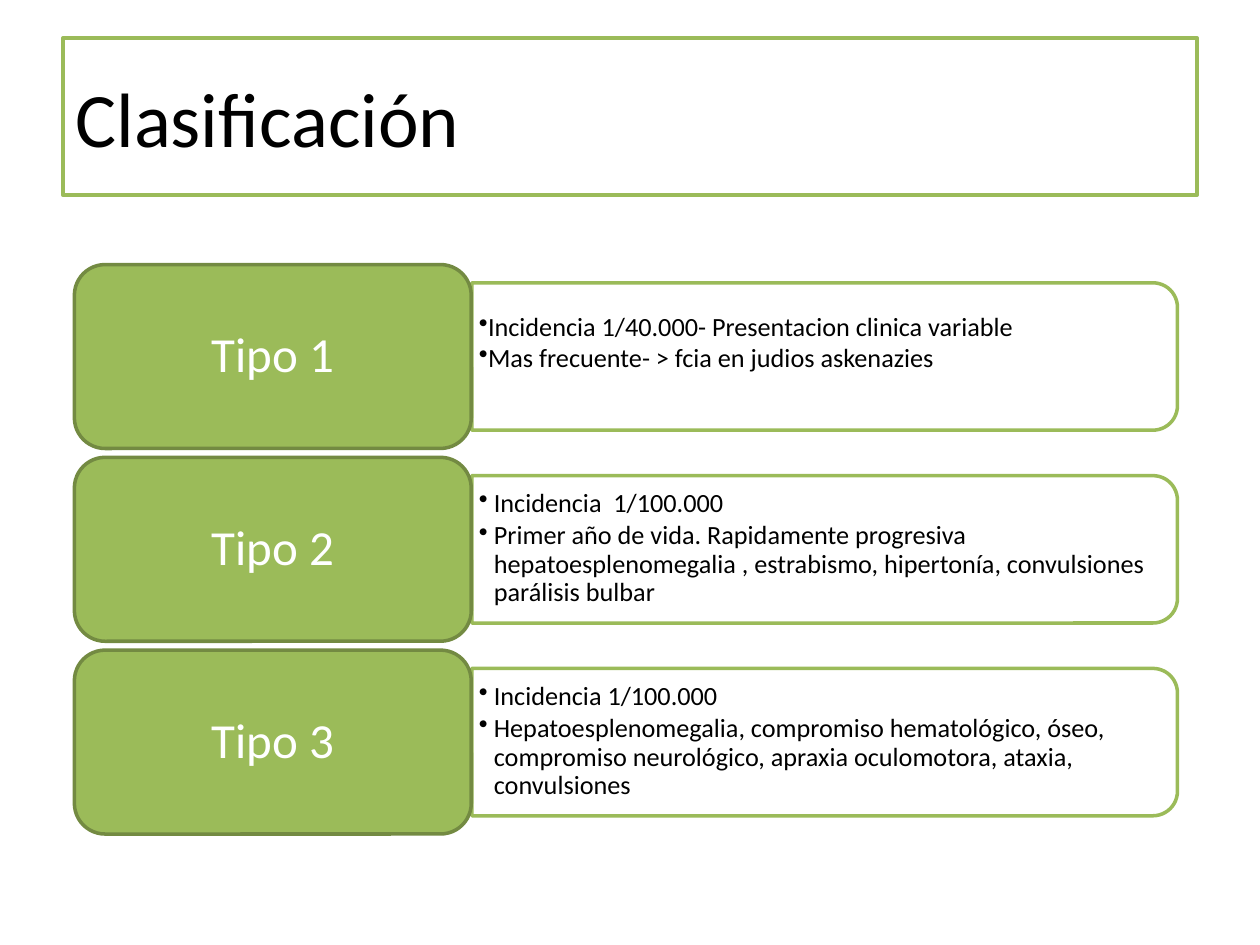
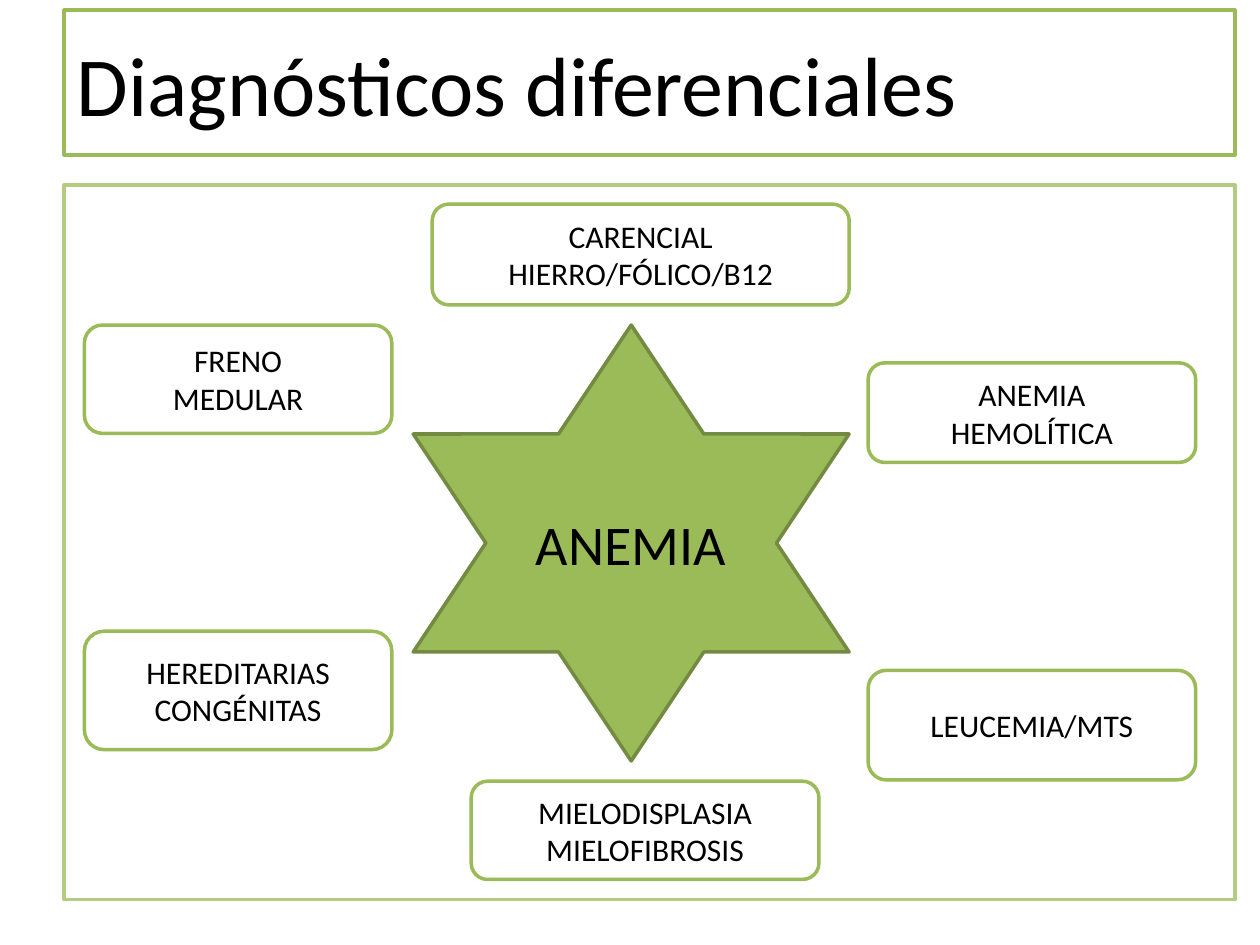
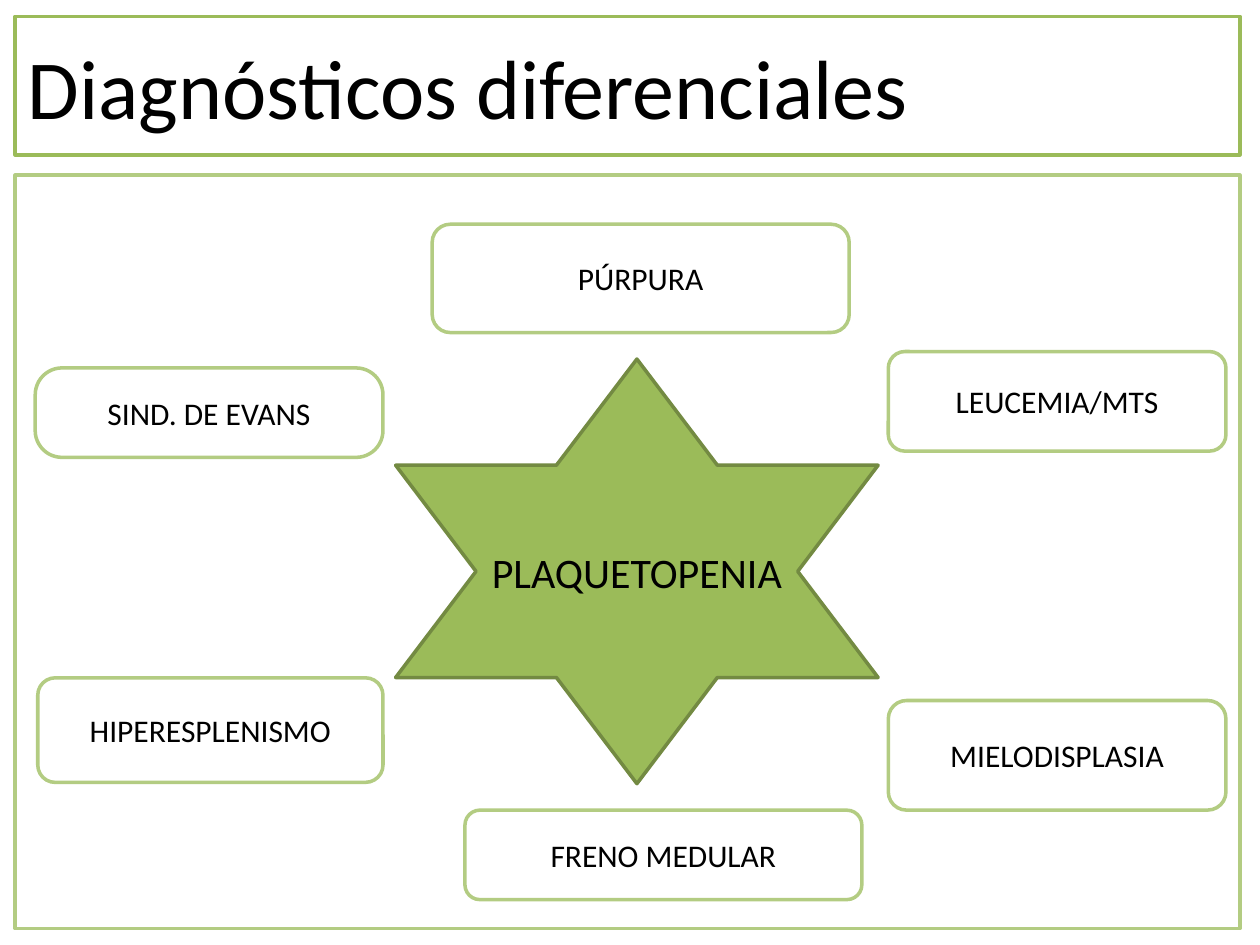
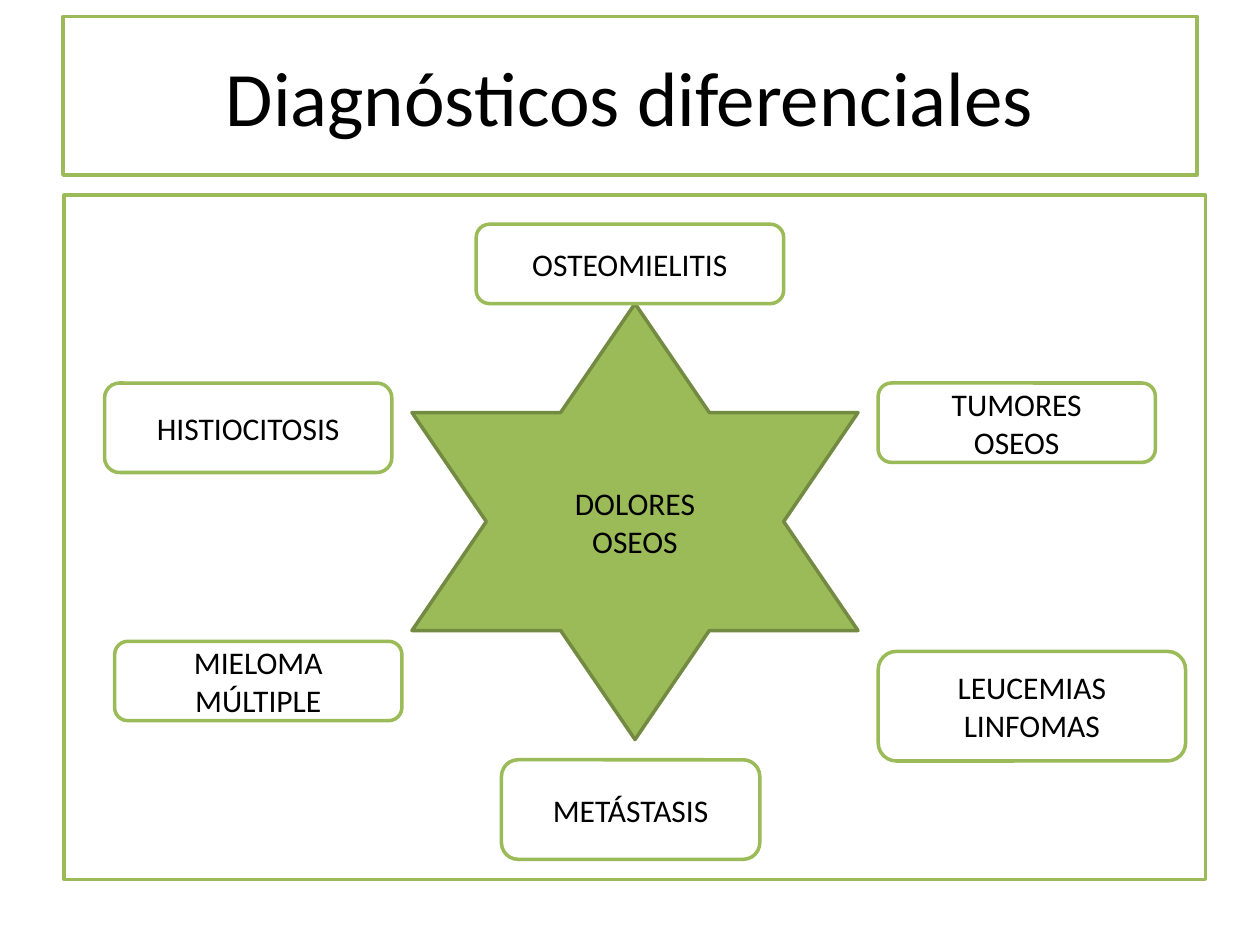
import dataclasses
import typing

import pptx
import pptx.dml.color
import pptx.enum.shapes
import pptx.enum.text
import pptx.oxml
import pptx.oxml.ns
import pptx.util

RGBColor = pptx.dml.color.RGBColor
SHAPE = pptx.enum.shapes.MSO_SHAPE
ALIGN = pptx.enum.text.PP_ALIGN

PX = 9144  # EMU, 100 px to the inch
FONT = "Calibri"
BLACK = RGBColor(0x00, 0x00, 0x00)
WHITE = RGBColor(0xFF, 0xFF, 0xFF)
GREEN = RGBColor(0x9B, 0xBB, 0x59)
DARK_GREEN = RGBColor(0x73, 0x8A, 0x42)
LIGHT_GREEN = RGBColor(0xB3, 0xCC, 0x82)


class Box(typing.NamedTuple):
    left: int
    top: int
    width: int
    height: int


class Insets(typing.NamedTuple):
    left: int = 10
    top: int = 5
    right: int = 10
    bottom: int = 5


@dataclasses.dataclass(frozen=True)
class Label:
    text: str
    box: Box
    size: int = 18
    rounding: float | None = None


@dataclasses.dataclass(frozen=True)
class Differential:
    """A star with the finding, ringed by its possible causes."""
    title: Label
    star: Label
    causes: tuple[Label, ...]
    frame: Box
    title_align: ALIGN = ALIGN.LEFT
    cause_line: RGBColor = GREEN
    frame_line: RGBColor = LIGHT_GREEN


@dataclasses.dataclass(frozen=True)
class DiseaseType:
    name: str
    facts: str
    hanging: int = 12
    line_spacing: float = 0.9
    space_after: float = 2.25
    bottom_inset: int = 3


TYPES = (
    DiseaseType("Tipo 1", "Incidencia 1/40.000- Presentacion clinica variable\n"
                "Mas frecuente- > fcia en judios askenazies",
                hanging=0, line_spacing=1.0, space_after=0, bottom_inset=26),
    DiseaseType("Tipo 2", "Incidencia  1/100.000\n"
                "Primer año de vida. Rapidamente progresiva hepatoesplenomegalia , "
                "estrabismo, hipertonía, convulsiones parálisis bulbar"),
    DiseaseType("Tipo 3", "Incidencia 1/100.000\n"
                "Hepatoesplenomegalia, compromiso hematológico, óseo, compromiso "
                "neurológico, apraxia oculomotora, ataxia, convulsiones"),
)
ROW_TOP, ROW_PITCH = 210, 153

DIFFERENTIALS = (
    Differential(
        title=Label("Diagnósticos diferenciales", Box(51, 8, 929, 115), 48),
        star=Label("ANEMIA", Box(328, 258, 346, 346), 32),
        causes=(
            Label("CARENCIAL\nHIERRO/FÓLICO/B12", Box(343, 162, 331, 80)),
            Label("ANEMIA\nHEMOLÍTICA", Box(689, 288, 260, 79)),
            Label("LEUCEMIA/MTS", Box(689, 532, 260, 87)),
            Label("MIELODISPLASIA\nMIELOFIBROSIS", Box(374, 620, 276, 78)),
            Label("HEREDITARIAS\nCONGÉNITAS", Box(67, 501, 244, 94)),
            Label("FRENO\nMEDULAR", Box(67, 258, 244, 86)),
        ),
        frame=Box(51, 147, 929, 567),
    ),
    Differential(
        title=Label("Diagnósticos diferenciales", Box(12, 13, 972, 110), 48),
        star=Label("PLAQUETOPENIA", Box(314, 285, 383, 337), 24),
        causes=(
            Label("PÚRPURA", Box(343, 178, 331, 86)),
            Label("LEUCEMIA/MTS", Box(705, 279, 268, 79)),
            Label("MIELODISPLASIA", Box(705, 556, 268, 87)),
            Label("FRENO MEDULAR", Box(369, 643, 315, 71)),
            Label("HIPERESPLENISMO", Box(30, 538, 274, 83)),
            Label("SIND. DE EVANS", Box(28, 292, 276, 71), rounding=0.3),
        ),
        frame=Box(12, 139, 972, 598),
        cause_line=LIGHT_GREEN,
    ),
    Differential(
        title=Label("Diagnósticos diferenciales", Box(50, 13, 900, 126), 44),
        star=Label("DOLORES\nOSEOS", Box(327, 241, 354, 346)),
        causes=(
            Label("OSTEOMIELITIS", Box(378, 178, 244, 63)),
            Label("HISTIOCITOSIS", Box(83, 304, 228, 71)),
            Label("MIELOMA\nMÚLTIPLE", Box(91, 509, 228, 63)),
            Label("METÁSTASIS", Box(398, 603, 205, 79)),
            Label("TUMORES\nOSEOS", Box(697, 304, 220, 63)),
            Label("LEUCEMIAS\nLINFOMAS", Box(697, 517, 244, 87)),
        ),
        frame=Box(51, 155, 906, 543),
        title_align=ALIGN.CENTER,
        frame_line=GREEN,
    ),
)


def emu(box: Box) -> list[int]:
    return [length * PX for length in box]


def add_bullet(p, hanging: int) -> None:
    pPr = p._p.get_or_add_pPr()
    pPr.set("marL", str(hanging * PX))
    pPr.set("indent", str(-hanging * PX))
    pPr.append(pptx.oxml.parse_xml(
        f'<a:buChar {pptx.oxml.ns.nsdecls("a")} char="•"/>'))


def write(shape, text: str, *, size: int, color: RGBColor = BLACK,
          align: ALIGN = ALIGN.CENTER, insets: Insets = Insets(),
          hanging: int | None = None, line_spacing: float | None = None,
          space_after: float | None = None) -> None:
    """Fill a shape with one paragraph per line; a hanging indent adds bullets."""
    tf = shape.text_frame
    tf.word_wrap = True
    tf.vertical_anchor = pptx.enum.text.MSO_ANCHOR.MIDDLE
    tf.margin_left, tf.margin_top, tf.margin_right, tf.margin_bottom = (
        inset * PX for inset in insets)
    for i, line in enumerate(text.split("\n")):
        p = tf.add_paragraph() if i else tf.paragraphs[0]
        if hanging is not None:
            add_bullet(p, hanging)
        p.alignment = align
        if line_spacing is not None:
            p.line_spacing = line_spacing
        if space_after is not None:
            p.space_after = pptx.util.Pt(space_after)
        r = p.add_run()
        r.text = line
        r.font.name = FONT
        r.font.size = pptx.util.Pt(size)
        r.font.color.rgb = color


def add_outlined(s, kind: SHAPE, box: Box, line: RGBColor,
                 fill: RGBColor | None = WHITE):
    sp = s.shapes.add_shape(kind, *emu(box))
    sp.shadow.inherit = False
    if fill is None:
        sp.fill.background()
    else:
        sp.fill.solid()
        sp.fill.fore_color.rgb = fill
    sp.line.color.rgb = line
    sp.line.width = pptx.util.Pt(2)
    return sp


def add_title(s, title: Label, align: ALIGN = ALIGN.LEFT) -> None:
    sp = add_outlined(s, SHAPE.RECTANGLE, title.box, GREEN)
    write(sp, title.text, size=title.size, align=align)


def add_type_row(s, top: int, kind: DiseaseType) -> None:
    # The facts panel is upright, then turned so its round corners face right.
    panel = add_outlined(s, SHAPE.ROUND_2_SAME_RECTANGLE,
                         Box(596, top - 207, 117, 560), GREEN)
    panel.rotation = 90
    facts = s.shapes.add_textbox(*emu(Box(374, top + 20, 554, 105)))
    write(facts, kind.facts, size=15, align=ALIGN.LEFT,
          insets=Insets(6, 3, 6, kind.bottom_inset), hanging=kind.hanging,
          line_spacing=kind.line_spacing, space_after=kind.space_after)
    add_outlined(s, SHAPE.ROUNDED_RECTANGLE, Box(59, top, 315, 146),
                 DARK_GREEN, GREEN)
    name = s.shapes.add_textbox(*emu(Box(66, top + 7, 301, 132)))
    write(name, kind.name, size=28, color=WHITE,
          insets=Insets(12, 6, 12, 6), line_spacing=0.9)


def add_classification(s) -> None:
    add_title(s, Label("Clasificación", Box(50, 30, 900, 125), 44))
    for i, kind in enumerate(TYPES):
        add_type_row(s, ROW_TOP + i * ROW_PITCH, kind)


def add_differential(s, d: Differential) -> None:
    add_title(s, d.title, d.title_align)
    star = add_outlined(s, SHAPE.STAR_6_POINT, d.star.box, DARK_GREEN, GREEN)
    write(star, d.star.text, size=d.star.size)
    for cause in d.causes:
        sp = add_outlined(s, SHAPE.ROUNDED_RECTANGLE, cause.box, d.cause_line)
        if cause.rounding is not None:
            sp.adjustments[0] = cause.rounding
        write(sp, cause.text, size=cause.size)
    add_outlined(s, SHAPE.RECTANGLE, d.frame, d.frame_line, fill=None)


def main() -> None:
    prs = pptx.Presentation()
    prs.slide_width, prs.slide_height = 1000 * PX, 750 * PX
    blank = prs.slide_layouts[6]
    add_classification(prs.slides.add_slide(blank))
    for differential in DIFFERENTIALS:
        add_differential(prs.slides.add_slide(blank), differential)
    prs.save("out.pptx")


if __name__ == "__main__":
    main()
